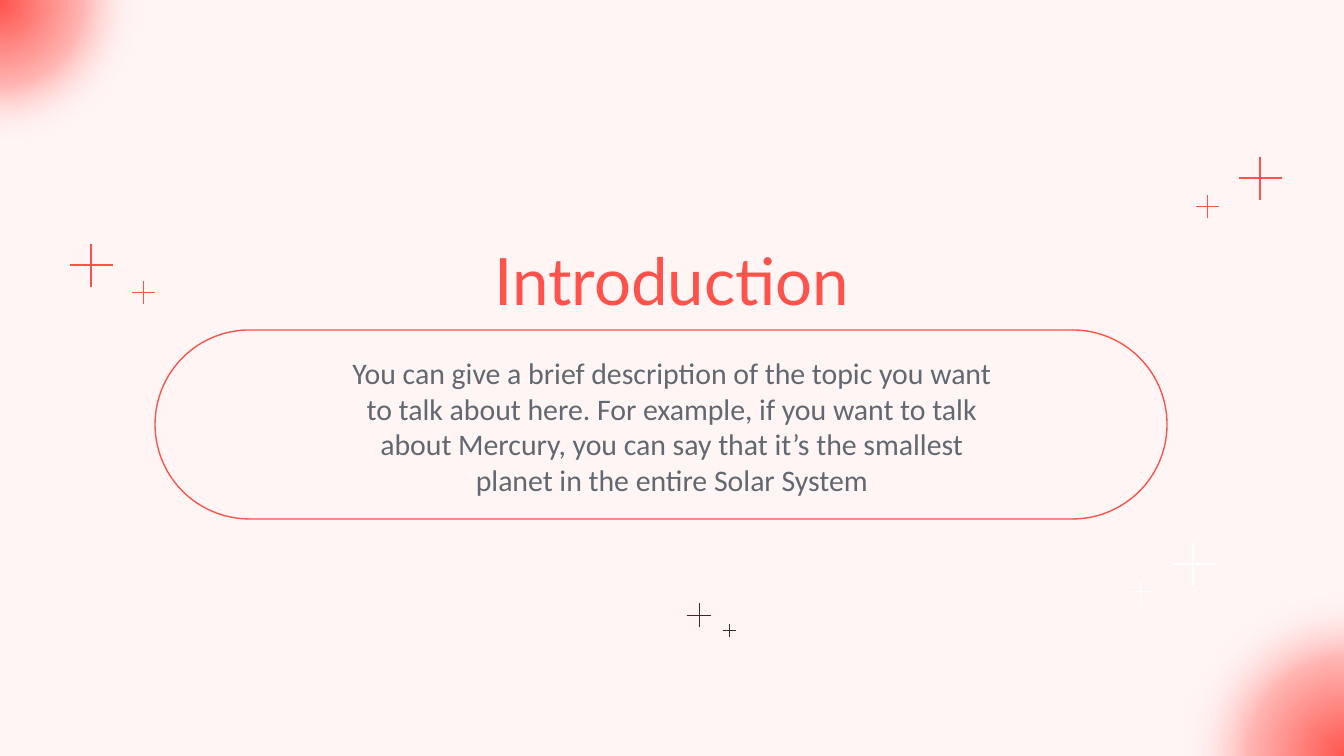
import pptx
import pptx.util
import pptx.oxml
import pptx.oxml.ns
import pptx.dml.color
import pptx.enum.shapes
import pptx.enum.text

PX = 6804  # EMU per px, 134.4 px to the inch
RED = pptx.dml.color.RGBColor(0xFF, 0x52, 0x4B)
WHITE = pptx.dml.color.RGBColor(0xFF, 0xFF, 0xFF)
DARK = pptx.dml.color.RGBColor(0x41, 0x29, 0x29)
GREY = pptx.dml.color.RGBColor(0x62, 0x68, 0x70)
PINK = pptx.dml.color.RGBColor(0xFF, 0xF5, 0xF5)
KIND = pptx.enum.shapes.MSO_SHAPE

# Slide
deck = pptx.Presentation()
deck.slide_width, deck.slide_height = 1344 * PX, 756 * PX
slide = deck.slides.add_slide(deck.slide_layouts[5])
slide.background.fill.solid()
slide.background.fill.fore_color.rgb = PINK


def place(box):
    return [n * PX for n in box]


def write(shape, text, font, size, color):
    frame = shape.text_frame
    frame.word_wrap = True
    frame.auto_size = pptx.enum.text.MSO_AUTO_SIZE.NONE
    frame.vertical_anchor = pptx.enum.text.MSO_ANCHOR.MIDDLE
    frame.margin_left = frame.margin_right = pptx.util.Inches(0.1)
    frame.margin_top = frame.margin_bottom = pptx.util.Inches(0.1)
    frame.text = text
    para = frame.paragraphs[0]
    para.alignment = pptx.enum.text.PP_ALIGN.CENTER
    run = para.runs[0]
    run.font.name = font
    run.font.size = pptx.util.Pt(size)
    run.font.color.rgb = color


# Pill frame
pill = slide.shapes.add_shape(KIND.ROUNDED_RECTANGLE, *place((155, 330, 1012, 189)))
pill.adjustments[0] = 0.5
pill.shadow.inherit = False
pill.fill.background()
pill.line.color.rgb = RED
pill.line.width = pptx.util.Pt(0.75)

# Title and description
title = slide.shapes.title
title.left, title.top, title.width, title.height = place((334, 237, 676, 85))
write(title, "Introduction", "Lato", 35, RED)
body = slide.shapes.add_textbox(*place((334, 354, 676, 144)))
write(body, "You can give a brief description of the topic you want to talk "
      "about here. For example, if you want to talk about Mercury, you can "
      "say that it’s the smallest planet in the entire Solar System",
      "Calibri", 16, GREY)

# Corner glows: position, colour and opacity of each stop, in percent
stops = [(0, RED, 100), (39, RED, 38), (66, WHITE, 0), (100, WHITE, 0)]
marks = "".join(
    f'<a:gs pos="{pos * 1000}"><a:srgbClr val="{color}">'
    f'<a:alpha val="{alpha * 1000}"/></a:srgbClr></a:gs>'
    for pos, color, alpha in stops)
blend = (f'<a:gradFill {pptx.oxml.ns.nsdecls("a")} rotWithShape="1">'
         f'<a:gsLst>{marks}</a:gsLst><a:path path="circle"><a:fillToRect '
         'l="50000" t="50000" r="50000" b="50000"/></a:path></a:gradFill>')
for box in [(1167, 577, 360, 360), (-156, -153, 308, 308)]:
    glow = slide.shapes.add_shape(KIND.OVAL, *place(box))
    glow.shadow.inherit = False
    glow.line.fill.background()
    glow.fill.gradient()
    props = glow._element.spPr
    old = props.find(pptx.oxml.ns.qn("a:gradFill"))
    props.replace(old, pptx.oxml.parse_xml(blend))

# Sparkles: centre, arm span, bar thickness, colour
sparks = [
    (1260, 178, 43, 2, RED), (1207, 206, 23, 1, RED),
    (1193, 564, 43, 2, WHITE), (1140, 591, 23, 1, WHITE),
    (699, 615, 24, 1, DARK), (729, 630, 13, 1, DARK),
    (91, 265, 43, 2, RED), (143, 292, 23, 1, RED),
]
for x, y, span, thick, color in sparks:
    for wide, high in [(thick, span), (span, thick)]:
        left, top = x - wide // 2, y - high // 2
        right, low = left + wide, top + high
        pen = slide.shapes.build_freeform(left, top, scale=PX)
        pen.add_line_segments([(right, top), (right, low), (left, low)])
        bar = pen.convert_to_shape()
        bar.shadow.inherit = False
        bar.fill.solid()
        bar.fill.fore_color.rgb = color
        bar.line.fill.background()

deck.save("out.pptx")
